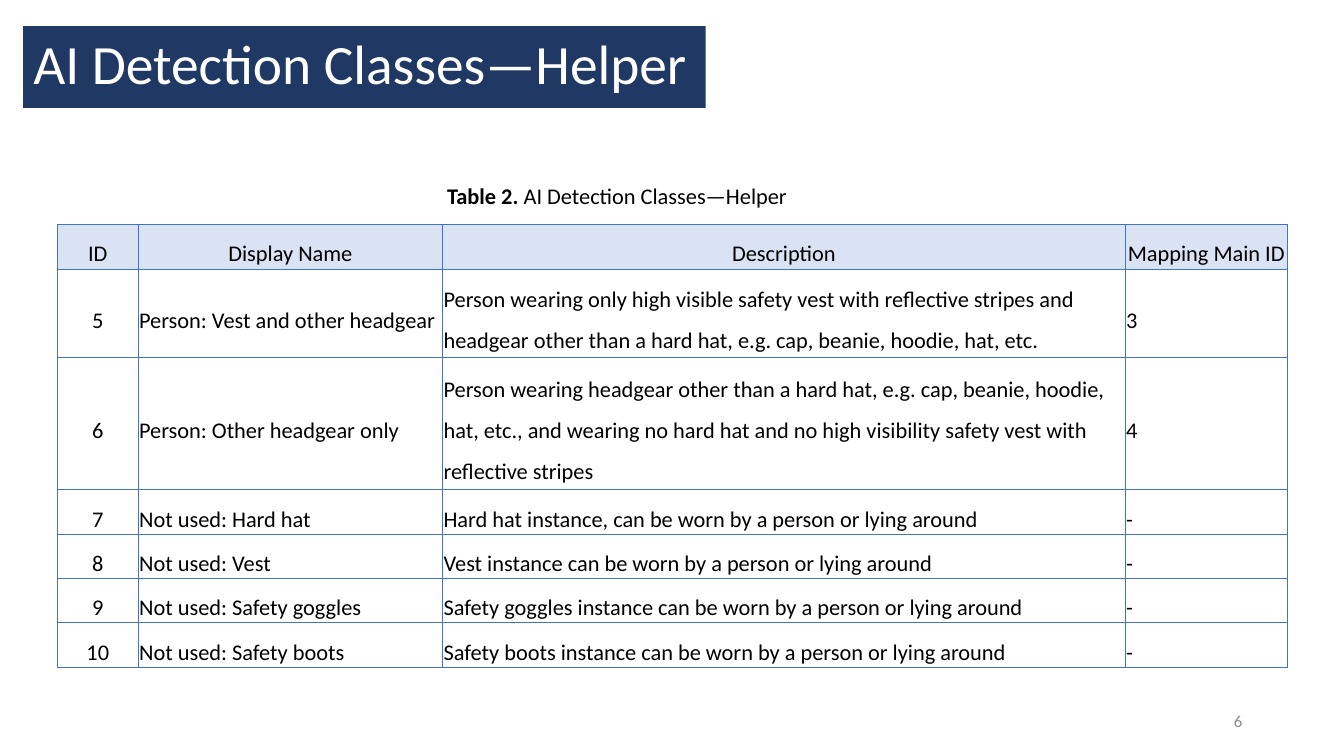
from lxml.etree import SubElement
from pptx import Presentation
from pptx.dml.color import RGBColor
from pptx.enum.text import MSO_ANCHOR as Anchor, MSO_AUTO_SIZE as AutoSize, PP_ALIGN as Align
from pptx.oxml.ns import qn
from pptx.util import Inches, Pt

COLOURS = {
    "navy": "203864",
    "white": "FFFFFF",
    "black": "000000",
    "grey": "8C8C8C",
    "header": "DAE3F3",
    "border": "4472C4",
}
TITLE = "AI Detection Classes—Helper"
COLUMN_WIDTHS = [0.8, 3.02, 6.77, 1.61]
ROW_HEIGHTS = [0.44, 0.88, 1.31, 0.44, 0.44, 0.44, 0.44]
CLASS_ROWS = [
    ("ID", "Display Name", "Description", "Mapping Main ID"),
    ("5", "Person: Vest and other headgear",
     "Person wearing only high visible safety vest with reflective stripes and "
     "headgear other than a hard hat, e.g. cap, beanie, hoodie, hat, etc.", "3"),
    ("6", "Person: Other headgear only",
     "Person wearing headgear other than a hard hat, e.g. cap, beanie, hoodie, hat, etc., "
     "and wearing no hard hat and no high visibility safety vest with reflective stripes", "4"),
    ("7", "Not used: Hard hat",
     "Hard hat instance, can be worn by a person or lying around", "-"),
    ("8", "Not used: Vest",
     "Vest instance can be worn by a person or lying around", "-"),
    ("9", "Not used: Safety goggles",
     "Safety goggles instance can be worn by a person or lying around", "-"),
    ("10", "Not used: Safety boots",
     "Safety boots instance can be worn by a person or lying around", "-"),
]


def colour(name):
    return RGBColor.from_string(COLOURS[name])


def style_para(para, size, colour_name, align):
    para.alignment = align
    para.font.name = "Calibri"
    para.font.size = Pt(size)
    para.font.color.rgb = colour(colour_name)


def add_title(page):
    title = page.shapes.title
    title.left, title.top = Inches(0.23), Inches(0.26)
    title.width, title.height = Inches(6.77), Inches(0.81)
    title.fill.solid()
    title.fill.fore_color.rgb = colour("navy")
    frame = title.text_frame
    frame.text = TITLE
    frame.auto_size = AutoSize.NONE
    frame.vertical_anchor = Anchor.MIDDLE
    para = frame.paragraphs[0]
    para.line_spacing = 0.9
    style_para(para, 39.6, "white", Align.LEFT)


def add_text(page, place, spans, size, colour_name, align, anchor, wrap):
    box = page.shapes.add_textbox(*map(Inches, place))
    frame = box.text_frame
    frame.word_wrap = wrap
    frame.vertical_anchor = anchor
    para = frame.paragraphs[0]
    style_para(para, size, colour_name, align)
    for text, bold in spans:
        span = para.add_run()
        span.text = text
        span.font.bold = bold


def add_borders(cell):
    properties = cell._tc.get_or_add_tcPr()
    for side in ("a:lnL", "a:lnR", "a:lnT", "a:lnB"):
        line = SubElement(properties, qn(side), w=str(Pt(1)))
        fill = SubElement(line, qn("a:solidFill"))
        SubElement(fill, qn("a:srgbClr"), val=COLOURS["border"])


def fill_cell(cell, text, is_header, centred):
    cell.margin_left = cell.margin_right = cell.margin_top = Inches(0.01)
    cell.margin_bottom = 0
    cell.vertical_anchor = Anchor.MIDDLE
    cell.text = text
    para = cell.text_frame.paragraphs[0]
    para.line_spacing = 1.5
    style_para(para, 16, "black", Align.CENTER if centred else Align.LEFT)
    para.font.bold = False
    add_borders(cell)
    if is_header:
        cell.fill.solid()
        cell.fill.fore_color.rgb = colour("header")
    else:
        cell.fill.background()


def add_class_table(page):
    table = page.shapes.add_table(
        len(CLASS_ROWS), len(COLUMN_WIDTHS), Inches(0.57), Inches(2.23),
        Inches(sum(COLUMN_WIDTHS)), Inches(sum(ROW_HEIGHTS))).table
    table.horz_banding = False
    for column, width in zip(table.columns, COLUMN_WIDTHS):
        column.width = Inches(width)
    for row, height in zip(table.rows, ROW_HEIGHTS):
        row.height = Inches(height)
    for row_index, texts in enumerate(CLASS_ROWS):
        for column_index, text in enumerate(texts):
            is_header = row_index == 0
            fill_cell(table.cell(row_index, column_index), text, is_header,
                      is_header or column_index == 0)


def main():
    deck = Presentation()
    deck.slide_width, deck.slide_height = Inches(13.33), Inches(7.5)
    page = deck.slides.add_slide(deck.slide_layouts[5])
    add_title(page)
    add_text(page, (4.31, 1.76, 3.62, 0.37), [("Table 2. ", True), (TITLE, False)],
             16, "black", Align.CENTER, Anchor.TOP, False)
    add_class_table(page)
    add_text(page, (9.42, 6.95, 3, 0.4), [("6", False)],
             12, "grey", Align.RIGHT, Anchor.MIDDLE, True)
    deck.save("out.pptx")


if __name__ == "__main__":
    main()
